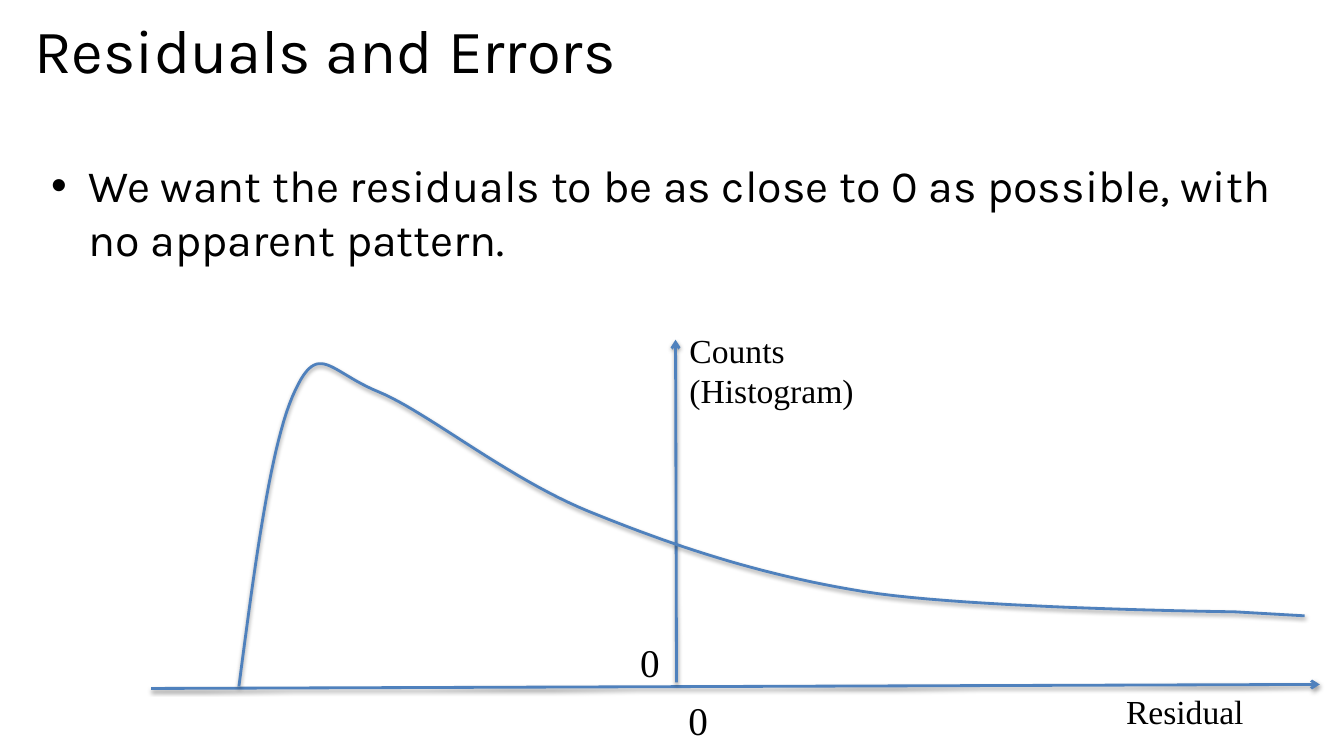
from lxml import etree
from pptx import Presentation
from pptx.dml.color import RGBColor
from pptx.enum.shapes import MSO_CONNECTOR
from pptx.enum.text import MSO_ANCHOR, MSO_AUTO_SIZE
from pptx.oxml.ns import qn
from pptx.util import Pt

STRAIGHT = MSO_CONNECTOR.STRAIGHT
TOP = MSO_ANCHOR.TOP
GROW, FIXED = MSO_AUTO_SIZE.SHAPE_TO_FIT_TEXT, MSO_AUTO_SIZE.NONE

PX = 9144  # EMU per px, 100 px to the inch
SLIDE_SIZE = (1333, 750)
BLANK_LAYOUT = 6
BLACK, BLUE = "000000", "4F81BD"
HEADING_FONT, LABEL_FONT = "Karla", "Times New Roman"

TITLE = ("Residuals and Errors", (24, 21, 1260, 116))
GOAL = ("We want the residuals to be as close to 0 as possible, with no apparent pattern.",
        (41, 152, 1260, 579))
AXES = [((150, 683), (1309, 679)), ((671, 677), (670, 337))]
# text, box, size in points, wrap
LABELS = [
    ("0", (673, 686, 40, 57), 28, False),
    ("Residual", (1107, 681, 194, 50), 24, True),
    ("0", (625, 628, 40, 57), 28, False),
    ("Counts (Histogram)", (674, 322, 194, 91), 24, True),
]
CURVE_START = (237, 681)
# two control points and an end point for each Bézier piece
CURVE_PIECES = [
    ((253, 559), (269, 436), (293, 387)),
    ((316, 338), (327, 369), (376, 389)),
    ((424, 409), (503, 474), (583, 507)),
    ((664, 540), (751, 570), (857, 587)),
    ((964, 604), (1224, 607), (1224, 607)),
]
CURVE_END = (1294, 611)
STEPS = 24


def emu(lengths):
    return [round(length * PX) for length in lengths]


def color(hex_code):
    return RGBColor.from_string(hex_code)


def add_text(slide, text, box, size, font=LABEL_FONT, wrap=True, fit=GROW,
             line_spacing=None, space_before=0, bullet_indent=0):
    frame = slide.shapes.add_textbox(*emu(box)).text_frame
    frame.word_wrap = wrap
    frame.auto_size = fit
    frame.vertical_anchor = TOP
    paragraph = frame.paragraphs[0]
    paragraph.space_before = Pt(space_before)
    if line_spacing:
        paragraph.line_spacing = line_spacing
    run = paragraph.add_run()
    run.text = text
    run.font.name, run.font.size = font, Pt(size)
    run.font.color.rgb = color(BLACK)
    if bullet_indent:
        properties = paragraph._p.get_or_add_pPr()
        properties.set("marL", str(bullet_indent * PX))
        properties.set("indent", str(-bullet_indent * PX))
        etree.SubElement(properties, qn("a:buFont"), typeface="Arial")
        etree.SubElement(properties, qn("a:buChar"), char="•")


def style_line(shape, arrow=False):
    """Blue stroke with a soft shadow straight below it."""
    shape.line.color.rgb = color(BLUE)
    shape.line.width = Pt(2)
    if arrow:
        etree.SubElement(shape.line._ln, qn("a:tailEnd"), type="arrow")
    effects = etree.SubElement(shape._element.spPr, qn("a:effectLst"))
    shadow = etree.SubElement(effects, qn("a:outerShdw"), blurRad=str(Pt(3.1)),
                              dist=str(Pt(1.6)), dir="5400000", rotWithShape="0")
    tint = etree.SubElement(shadow, qn("a:srgbClr"), val=BLACK)
    etree.SubElement(tint, qn("a:alpha"), val="38000")


def bezier_point(points, t):
    weights = ((1 - t) ** 3, 3 * t * (1 - t) ** 2, 3 * t ** 2 * (1 - t), t ** 3)
    return [sum(w * p[axis] for w, p in zip(weights, points)) for axis in (0, 1)]


def add_curve(slide):
    vertices, start = [], CURVE_START
    for piece in CURVE_PIECES:
        vertices += [bezier_point((start, *piece), step / STEPS)
                     for step in range(1, STEPS + 1)]
        start = piece[-1]
    vertices.append(CURVE_END)
    builder = slide.shapes.build_freeform(*emu(CURVE_START))
    builder.add_line_segments([emu(vertex) for vertex in vertices], close=False)
    curve = builder.convert_to_shape()
    curve.fill.background()
    style_line(curve)


def main():
    deck = Presentation()
    deck.slide_width, deck.slide_height = emu(SLIDE_SIZE)
    slide = deck.slides.add_slide(deck.slide_layouts[BLANK_LAYOUT])
    add_text(slide, *TITLE, 44, font=HEADING_FONT, fit=FIXED, line_spacing=0.8)
    add_text(slide, *GOAL, 32, font=HEADING_FONT, fit=FIXED,
             space_before=14, bullet_indent=37)
    for start, end in AXES:
        axis = slide.shapes.add_connector(STRAIGHT, *emu(start), *emu(end))
        style_line(axis, arrow=True)
    for text, box, size, wrap in LABELS:
        add_text(slide, text, box, size, wrap=wrap)
    add_curve(slide)
    deck.save("out.pptx")


if __name__ == "__main__":
    main()
